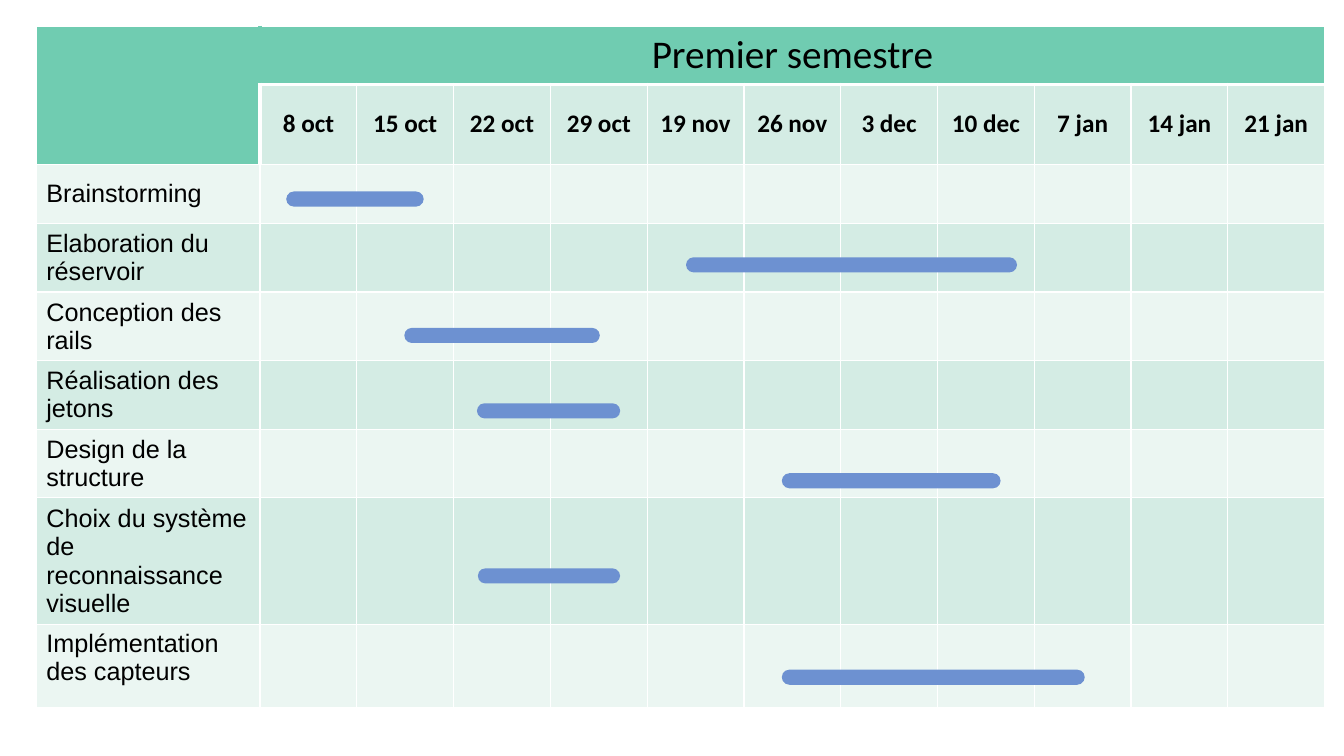
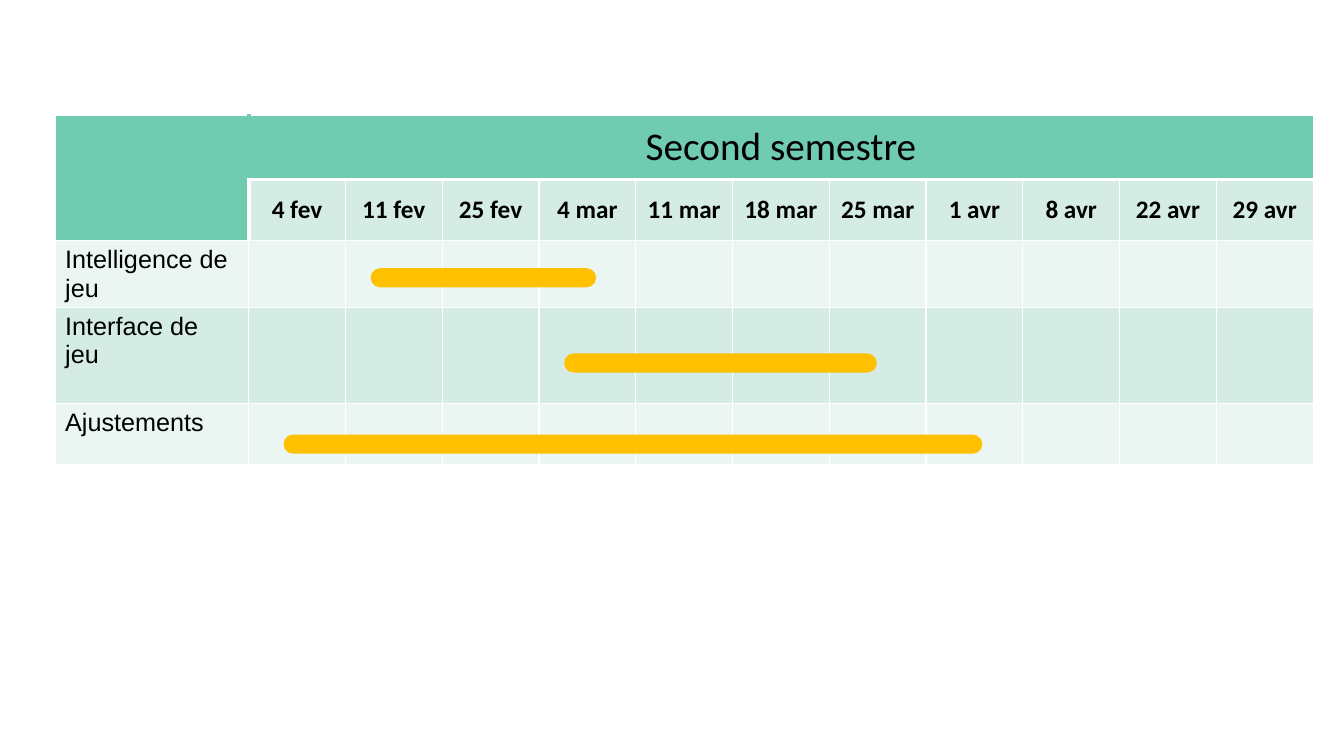
from dataclasses import dataclass

from lxml import etree
from pptx import Presentation, util as u
from pptx.dml.color import RGBColor
from pptx.enum import shapes, text
from pptx.oxml import ns


@dataclass(frozen=True)
class Theme:
    # Colours
    head: str = "70CCB1"
    dark: str = "D4ECE4"
    pale: str = "EBF6F2"
    line: str = "FFFFFF"
    ink: str = "000000"
    blue: str = "6D91D1"
    gold: str = "FFC000"
    # Type
    main: str = "Calibri"
    side: str = "Arial"
    big: int = 28
    body: int = 18
    # Grid, in inches, and rules, in points
    wide: float = 13.33
    high: float = 7.5
    week: float = 0.96
    thin: int = 1
    bold: int = 3


T = Theme()
TOP, MID = text.MSO_ANCHOR.TOP, text.MSO_ANCHOR.MIDDLE


def write(cell, words, size=T.body, font=T.main, bold=False, mid=True, anchor=MID):
    """Put formatted text in a cell."""
    cell.vertical_anchor = anchor
    para = cell.text_frame.paragraphs[0]
    para.alignment = text.PP_ALIGN.CENTER if mid else text.PP_ALIGN.LEFT
    run = para.add_run()
    run.text = words
    run.font.size = u.Pt(size)
    run.font.name = font
    run.font.bold = bold
    run.font.color.rgb = RGBColor.from_string(T.ink)


def paint(cell, fill, **edges):
    """Fill a cell and rule its sides; edges maps a side to (colour, points)."""
    props = cell._tc.get_or_add_tcPr()
    for side in "LRTB":
        tint, width = edges.get(side, (T.line, T.thin))
        rule = etree.SubElement(props, ns.qn(f"a:ln{side}"), w=str(u.Pt(width)))
        solid = etree.SubElement(rule, ns.qn("a:solidFill"))
        etree.SubElement(solid, ns.qn("a:srgbClr"), val=tint)
    cell.fill.solid()
    cell.fill.fore_color.rgb = RGBColor.from_string(fill)


class Plan:
    """Gantt slides: a table of weeks with bars over it."""

    def __init__(self):
        self.deck = Presentation()
        self.deck.slide_width = u.Inches(T.wide)
        self.deck.slide_height = u.Inches(T.high)

    def page(self, left, top, first, rows):
        """Start a slide; left and top are percentages of its size."""
        self.slide = self.deck.slides.add_slide(self.deck.slide_layouts[6])
        self.left, self.top = left * T.wide / 100, top * T.high / 100
        self.first, self.rows = first, rows

    def table(self, title, dates, tasks):
        count = len(dates) + 1
        frame = self.slide.shapes.add_table(
            len(self.rows), count, u.Inches(self.left), u.Inches(self.top),
            u.Inches(self.first + T.week * len(dates)), u.Inches(sum(self.rows)))
        grid = frame.table
        grid.first_row = grid.horz_banding = False
        for col, width in zip(grid.columns, [self.first] + [T.week] * len(dates)):
            col.width = u.Inches(width)
        for row, height in zip(grid.rows, self.rows):
            row.height = u.Inches(height)

        # Heading and corner
        thick, seam = (T.line, T.bold), (T.head, T.bold)
        paint(grid.cell(0, 0), T.head, R=seam)
        paint(grid.cell(1, 0), T.head, R=thick)
        for c in range(1, count):
            paint(grid.cell(0, c), T.head, B=thick, **({"L": seam} if c == 1 else {}))
        grid.cell(0, 0).merge(grid.cell(1, 0))
        grid.cell(0, 1).merge(grid.cell(0, count - 1))
        write(grid.cell(0, 1), title, size=T.big)

        # Dates
        for c, date in enumerate(dates, 1):
            cell = grid.cell(1, c)
            paint(cell, T.dark, T=thick, **({"L": thick} if c == 1 else {}))
            write(cell, date, bold=True)

        # Tasks, in two alternating tints
        for r, (name, anchor, *_) in enumerate(tasks, 2):
            for c in range(count):
                paint(grid.cell(r, c), T.dark if r % 2 else T.pale)
            write(grid.cell(r, 0), name, font=T.side, mid=False, anchor=anchor)

    def bar(self, row, start, span, drop, thick, fill):
        """Draw a bar; start and span count weeks, drop is a share of the row."""
        x = self.left + self.first + start * T.week
        y = self.top + sum(self.rows[:row]) + drop * self.rows[row]
        pill = self.slide.shapes.add_shape(
            shapes.MSO_SHAPE.ROUNDED_RECTANGLE, u.Inches(x), u.Inches(y),
            u.Inches(span * T.week), u.Inches(thick))
        pill.adjustments[0] = 0.5
        pill.shadow.inherit = False
        pill.fill.solid()
        pill.fill.fore_color.rgb = RGBColor.from_string(fill)
        pill.line.fill.background()

    def chart(self, title, dates, tasks, thick, fill):
        self.table(title, dates, tasks)
        for row, (_, _, start, span, drop) in enumerate(tasks, 2):
            self.bar(row, start, span, drop, thick, fill)


plan = Plan()

# First term: name, anchor, start week, weeks, drop in the row
plan.page(2.7, 3.5, 2.22, [0.57, 0.79, 0.59] + [0.68] * 4 + [1.26, 0.82])
plan.chart(
    "Premier semestre",
    ["8 oct", "15 oct", "22 oct", "29 oct", "19 nov", "26 nov",
     "3 dec", "10 dec", "7 jan", "14 jan", "21 jan"],
    [("Brainstorming", MID, 0.27, 1.42, 0.47),
     ("Elaboration du réservoir", MID, 4.4, 3.42, 0.5),
     ("Conception des rails", MID, 1.49, 2.02, 0.53),
     ("Réalisation des jetons", MID, 2.24, 1.48, 0.63),
     ("Design de la structure", MID, 5.39, 2.26, 0.65),
     ("Choix du système de reconnaissance visuelle", MID, 2.25, 1.47, 0.56),
     ("Implémentation des capteurs", TOP, 5.39, 3.13, 0.55)],
    thick=0.15, fill=T.blue)

# Second term
plan.page(4.1, 15.2, 1.92, [0.64, 0.61, 0.66, 0.95, 0.61])
plan.chart(
    "Second semestre",
    ["4 fev", "11 fev", "25 fev", "4 mar", "11 mar", "18 mar",
     "25 mar", "1 avr", "8 avr", "22 avr", "29 avr"],
    [("Intelligence de jeu", TOP, 1.26, 2.33, 0.41),
     ("Interface de jeu", TOP, 3.26, 3.23, 0.48),
     ("Ajustements", TOP, 0.36, 7.22, 0.51)],
    thick=0.19, fill=T.gold)

plan.deck.save("out.pptx")
